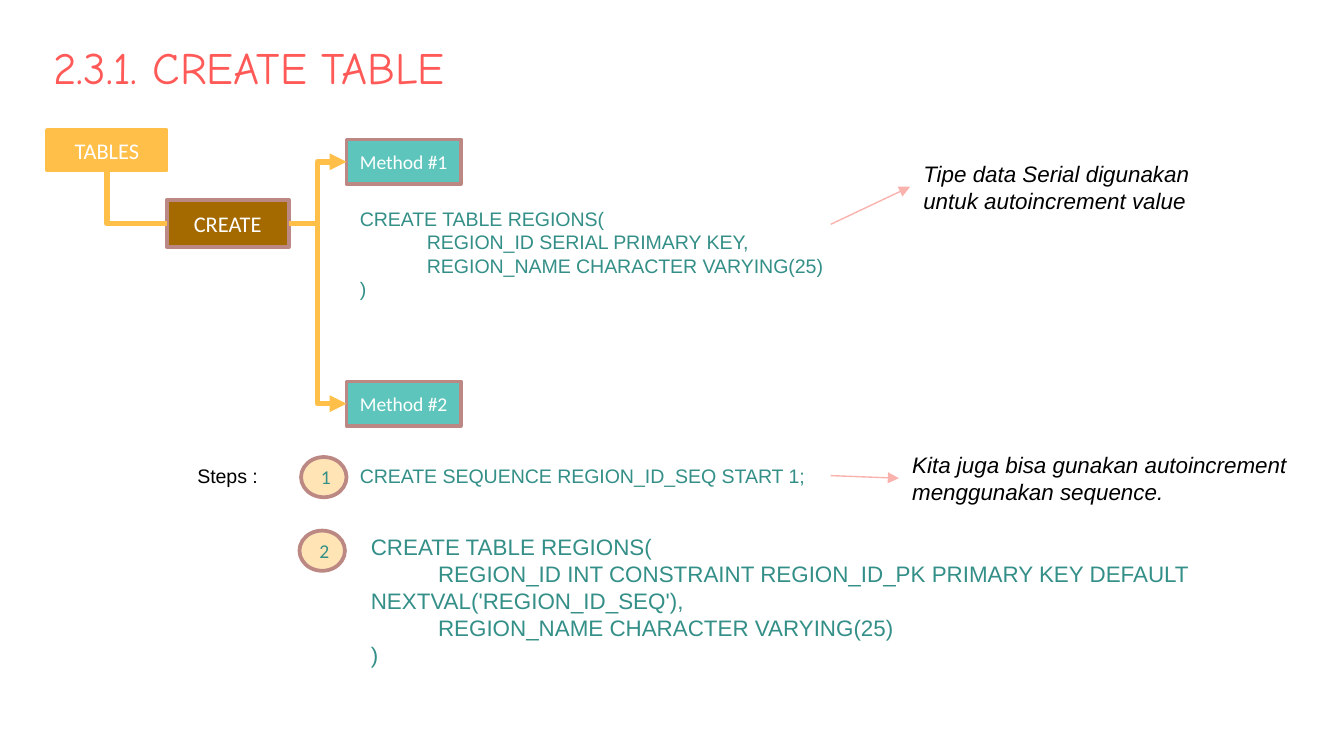
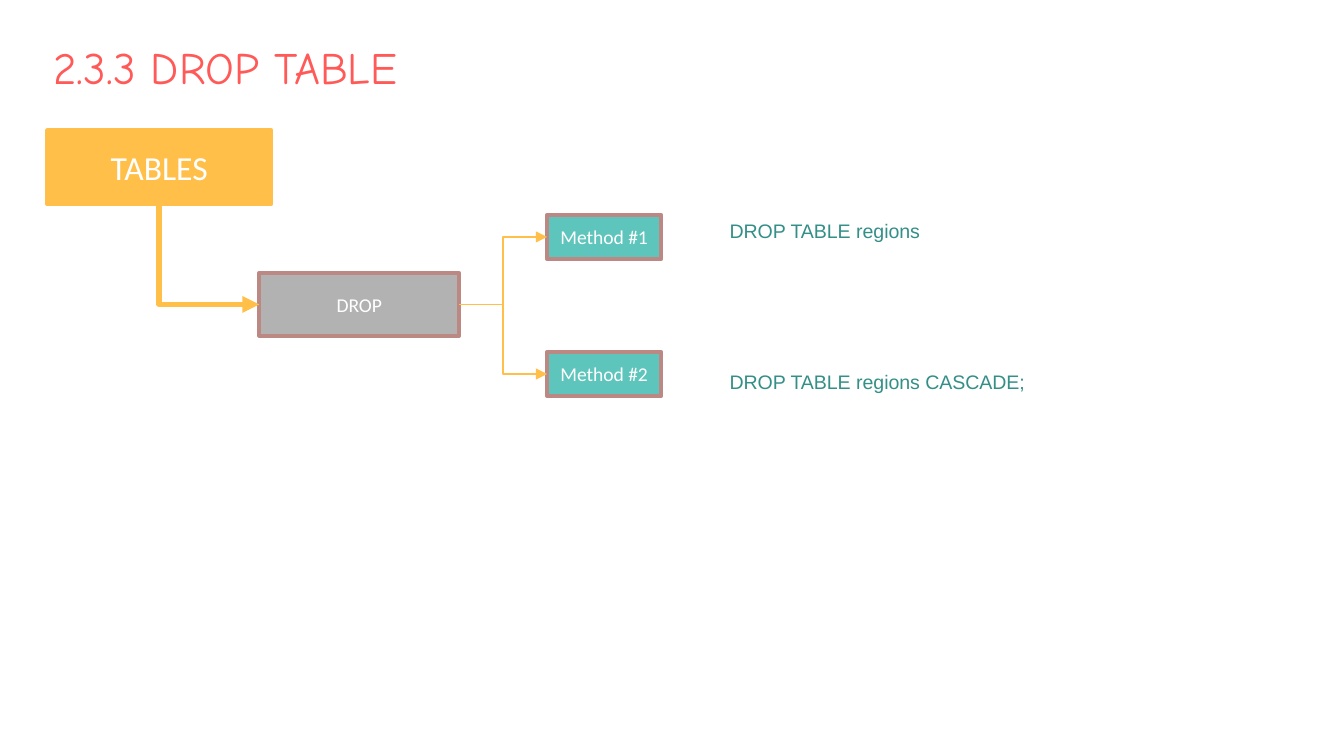
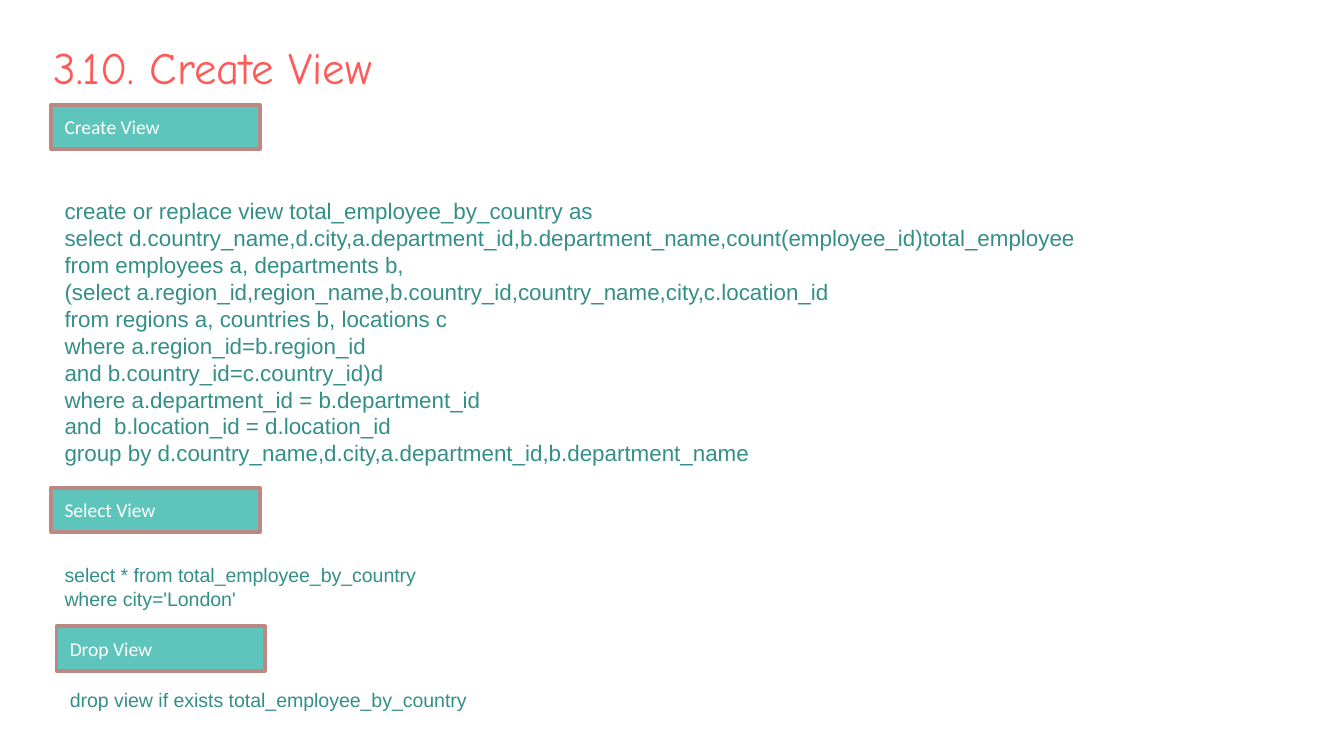
from lxml.etree import SubElement
from pptx import Presentation
from pptx.dml.color import RGBColor
from pptx.enum.shapes import MSO_CONNECTOR, MSO_SHAPE
from pptx.enum.text import MSO_ANCHOR, MSO_AUTO_SIZE, PP_ALIGN
from pptx.oxml.ns import qn
from pptx.util import Cm, Pt

CORAL, PINK = "FF5A58", "FAB2AD"
AMBER, CREAM, BROWN = "FFBF49", "FFE5B6", "A46A00"
TEAL, DARK_TEAL, ROSE = "5EC5BC", "338F87", "BC8884"
GREY, WHITE, BLACK = "B2B2B2", "FFFFFF", "000000"


def color(value):
    return RGBColor.from_string(value)


class Deck:
    """Holds the shared style and the current slide."""
    title_font, label_font, body_font = "Comic Neue", "Calibri", "Arial"
    small, medium = 10.5, 12
    method_size = (2.16, 0.84)
    heading_size = (3.94, 0.84)

    def __init__(self):
        self.presentation = Presentation()
        self.presentation.slide_width = Cm(25.4)
        self.presentation.slide_height = Cm(14.29)
        self.slide = None

    def new_slide(self, title):
        self.slide = self.presentation.slides.add_slide(self.presentation.slide_layouts[6])
        frame = self.add_box(0.76, 0.28, 21.26, 1.73).text_frame
        frame.vertical_anchor = MSO_ANCHOR.BOTTOM
        frame.margin_top = frame.margin_bottom = Cm(0.25)
        self.add_lines(frame, [title], self.title_font, 24, CORAL)

    def add_box(self, left, top, width, height):
        box = self.slide.shapes.add_textbox(Cm(left), Cm(top), Cm(width), Cm(height))
        box.text_frame.word_wrap = True
        return box

    def add_lines(self, frame, lines, font, size, ink, align=PP_ALIGN.LEFT, italic=False):
        for index, line in enumerate(lines):
            paragraph = frame.add_paragraph() if index else frame.paragraphs[0]
            paragraph.alignment = align
            run = paragraph.add_run()
            run.text = line
            run.font.name, run.font.size = font, Pt(size)
            run.font.color.rgb = color(ink)
            run.font.italic = italic

    def text(self, left, top, width, height, *lines, size=small, ink=DARK_TEAL,
             italic=False, wrap=True):
        frame = self.add_box(left, top, width, height).text_frame
        frame.word_wrap = wrap
        frame.auto_size = MSO_AUTO_SIZE.SHAPE_TO_FIT_TEXT
        self.add_lines(frame, lines, self.body_font, size, ink, italic=italic)

    def note(self, left, top, width, *lines):
        self.text(left, top, width, 1.27, *lines, size=self.medium, ink=BLACK, italic=True)

    def label(self, left, top, width, height, text, fill=TEAL, line=ROSE, size=small,
              ink=WHITE, kind=MSO_SHAPE.RECTANGLE, align=PP_ALIGN.CENTER):
        shape = self.slide.shapes.add_shape(kind, Cm(left), Cm(top), Cm(width), Cm(height))
        shape.shadow.inherit = False
        shape.fill.solid()
        shape.fill.fore_color.rgb = color(fill)
        shape.line.color.rgb = color(line)
        shape.line.width = Pt(2)
        shape.text_frame.vertical_anchor = MSO_ANCHOR.MIDDLE
        self.add_lines(shape.text_frame, [text], self.label_font, size, ink, align)
        return shape

    def methods(self, left, *tops):
        return [self.label(left, top, *self.method_size, f"Method #{number}")
                for number, top in enumerate(tops, 1)]

    def heading(self, left, top, text):
        self.label(left, top, *self.heading_size, text, align=PP_ALIGN.LEFT)

    def step(self, left, top, number):
        self.label(left, top, 0.86, 0.76, number, CREAM, ink=DARK_TEAL, kind=MSO_SHAPE.OVAL)

    def connect(self, kind, start, end, line, width, arrow=True):
        connector = self.slide.shapes.add_connector(kind, *start, *end)
        connector.line.color.rgb = color(line)
        connector.line.width = Pt(width)
        properties = connector._element.spPr
        if arrow:
            SubElement(properties.find(qn("a:ln")), qn("a:tailEnd"), type="triangle")
        SubElement(properties, qn("a:effectLst"))
        return connector

    def arrow(self, x1, y1, x2, y2):
        self.connect(MSO_CONNECTOR.STRAIGHT, (Cm(x1), Cm(y1)), (Cm(x2), Cm(y2)), PINK, 0.75)

    def fork(self, parent, children, width):
        """Elbow arrows from the parent's right side to each child's left side."""
        start = (parent.left + parent.width, parent.top + parent.height // 2)
        for child in children:
            end = (child.left, child.top + child.height // 2)
            self.connect(MSO_CONNECTOR.ELBOW, start, end, AMBER, width)

    def corner(self, parent, child, arrow=True):
        """Single bend: down from the parent, then right to the child."""
        x1, y1 = parent.left + parent.width // 2, parent.top + parent.height
        x2, y2 = child.left, child.top + child.height // 2
        # The frame is turned a quarter about its centre, so its sides swap
        run, drop = x2 - x1, y2 - y1
        left, top = (x1 + x2 - drop) // 2, (y1 + y2 - run) // 2
        connector = self.connect(MSO_CONNECTOR.ELBOW, (left + drop, top), (left, top + run),
                                 AMBER, 3, arrow)
        properties = connector._element.spPr
        properties.find(qn("a:xfrm")).set("rot", str(270 * 60000))
        properties.find(qn("a:prstGeom")).set("prst", "bentConnector2")


def create_table_slide(deck):
    deck.new_slide("2.3.1. CREATE TABLE")
    # Tree
    tables = deck.label(0.89, 2.46, 2.26, 0.76, "TABLES", AMBER, AMBER, deck.medium)
    create = deck.label(3.15, 3.78, 2.31, 0.89, "CREATE", BROWN, size=deck.medium)
    deck.corner(tables, create, arrow=False)
    deck.fork(create, deck.methods(6.55, 2.64, 7.21), 3)
    # First method
    deck.text(6.55, 3.78, 18.36, 2.06,
              "CREATE TABLE REGIONS(",
              "\tREGION_ID SERIAL PRIMARY KEY,",
              "\tREGION_NAME CHARACTER VARYING(25)",
              ")")
    deck.note(17.2, 2.9, 6.2, "Tipe data Serial digunakan untuk autoincrement value")
    deck.arrow(15.7, 4.24, 17.2, 3.53)
    # Second method, in two steps
    deck.text(3.48, 8.64, 2.01, 0.71, "Steps :", ink=BLACK)
    deck.step(5.69, 8.64, "1")
    deck.text(6.55, 8.64, 9.14, 0.71, "CREATE SEQUENCE REGION_ID_SEQ START 1;", wrap=False)
    deck.note(16.99, 8.41, 7.92, "Kita juga bisa gunakan autoincrement", "menggunakan sequence.")
    deck.arrow(15.7, 8.99, 16.99, 9.04)
    deck.step(5.66, 10.03, "2")
    deck.text(6.76, 9.96, 17.96, 2.82,
              "CREATE TABLE REGIONS(",
              "\tREGION_ID INT CONSTRAINT REGION_ID_PK PRIMARY KEY DEFAULT NEXTVAL('REGION_ID_SEQ'),",
              "\tREGION_NAME CHARACTER VARYING(25)",
              ")", size=deck.medium)


def drop_table_slide(deck):
    deck.new_slide("2.3.3 DROP TABLE")
    # Tree
    tables = deck.label(0.89, 2.46, 4.24, 1.4, "TABLES", AMBER, AMBER, 18)
    drop = deck.label(4.9, 5.16, 3.78, 1.19, "DROP", GREY)
    deck.corner(tables, drop)
    deck.fork(drop, deck.methods(10.34, 4.06, 6.65), 0.75)
    # Statements
    deck.text(13.54, 4.01, 4.22, 0.71, "DROP TABLE regions", wrap=False)
    deck.text(13.54, 6.86, 6.22, 0.71, "DROP TABLE regions CASCADE;", wrap=False)


def create_view_slide(deck):
    deck.new_slide("3.10. Create View")
    deck.heading(0.97, 1.98, "Create View")
    deck.text(0.97, 3.61, 22.1, 5.38,
              "create or replace view total_employee_by_country as",
              "select d.country_name,d.city,a.department_id,b.department_name,"
              "count(employee_id)total_employee",
              "from employees a, departments b,",
              "(select a.region_id,region_name,b.country_id,country_name,city,c.location_id",
              "from regions a, countries b, locations c",
              "where a.region_id=b.region_id",
              "and b.country_id=c.country_id)d",
              "where a.department_id = b.department_id",
              "and  b.location_id = d.location_id",
              "group by d.country_name,d.city,a.department_id,b.department_name",
              size=deck.medium)
    deck.heading(0.97, 9.22, "Select View")
    deck.text(0.97, 10.52, 12.7, 1.14,
              "select * from total_employee_by_country", "where city='London'")
    deck.heading(1.07, 11.84, "Drop View")
    deck.text(1.07, 12.88, 8.15, 0.71,
              "drop view if exists total_employee_by_country", wrap=False)


def main():
    deck = Deck()
    create_table_slide(deck)
    drop_table_slide(deck)
    create_view_slide(deck)
    deck.presentation.save("out.pptx")


if __name__ == "__main__":
    main()
